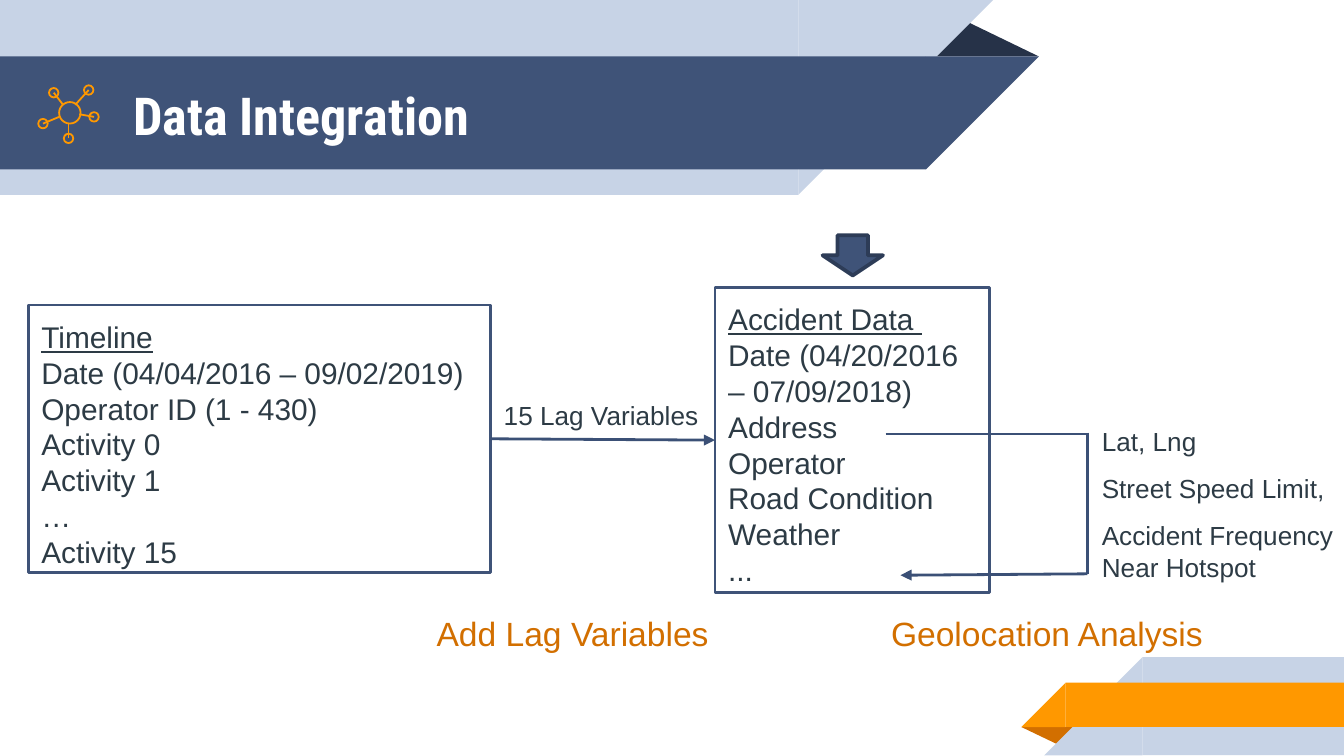
from lxml.etree import SubElement
from pptx import Presentation
from pptx.dml.color import RGBColor
from pptx.enum.shapes import MSO_CONNECTOR as Connector, MSO_SHAPE as Shape
from pptx.enum.text import MSO_ANCHOR as Anchor, PP_ALIGN as Align
from pptx.oxml.ns import qn
from pptx.util import Inches, Pt

NAVY = RGBColor(0x3F, 0x53, 0x78)
DARK_NAVY = RGBColor(0x26, 0x32, 0x48)
OUTLINE_NAVY = RGBColor(0x2D, 0x3C, 0x57)
LINE_NAVY = RGBColor(0x3B, 0x50, 0x76)
PALE_BLUE = RGBColor(0xC7, 0xD3, 0xE6)
ORANGE = RGBColor(0xFF, 0x98, 0x00)
DARK_ORANGE = RGBColor(0xD2, 0x6F, 0x00)
INK = RGBColor(0x2D, 0x3B, 0x45)
WHITE = RGBColor(0xFF, 0xFF, 0xFF)

TIMELINE = ["Timeline", "Date (04/04/2016 – 09/02/2019)", "Operator ID (1 - 430)",
            "Activity 0", "Activity 1", "…", "Activity 15"]
ACCIDENTS = ["Accident Data ", "Date (04/20/2016 – 07/09/2018)", "Address",
             "Operator", "Road Condition", "Weather", "..."]
LOCATION = ["Lat, Lng", "Street Speed Limit,", "Accident Frequency", "Near Hotspot"]

SPOKES = [((0.66, 0.67), (0.56, 0.78)), ((0.4, 0.69), (0.47, 0.78)),
          ((0.32, 0.92), (0.44, 0.87)), ((0.51, 1.03), (0.51, 0.92)),
          ((0.7, 0.87), (0.59, 0.85))]


def add_figure(shapes, kind, bounds, fill=None, line=None, width=1.5, rotation=0):
    figure = shapes.add_shape(kind, *map(Inches, bounds))
    figure.shadow.inherit = False
    figure.rotation = rotation
    if fill is None:
        figure.fill.background()
    else:
        figure.fill.solid()
        figure.fill.fore_color.rgb = fill
    if line is None:
        figure.line.fill.background()
    else:
        figure.line.color.rgb = line
        figure.line.width = Pt(width)
    return figure


def add_line(shapes, start, end, color=LINE_NAVY, width=1.5, arrow=False):
    line = shapes.add_connector(Connector.STRAIGHT, *map(Inches, start + end))
    line.line.color.rgb = color
    line.line.width = Pt(width)
    properties = line.element.spPr
    if arrow:
        SubElement(properties.get_or_add_ln(), qn("a:tailEnd"), type="triangle")
    SubElement(properties, qn("a:effectLst"))
    return line


def write(box, lines, size, color=INK, font="Arial", align=Align.LEFT, anchor=Anchor.TOP):
    frame = box.text_frame
    frame.text = "\n".join(lines)
    frame.word_wrap = True
    frame.vertical_anchor = anchor
    frame.margin_left = frame.margin_right = Inches(0.1)
    frame.margin_top = frame.margin_bottom = Inches(0.1)
    for para in frame.paragraphs:
        para.alignment = align
        for span in para.runs:
            span.font.size = Pt(size)
            span.font.name = font
            span.font.color.rgb = color
    return frame.paragraphs


def add_text(page, bounds, lines, size, color=INK, align=Align.LEFT):
    box = page.shapes.add_textbox(*map(Inches, bounds))
    return write(box, lines, size, color, align=align)


def add_data_box(page, bounds, lines):
    box = add_figure(page.shapes, Shape.RECTANGLE, bounds, line=NAVY)
    heading = write(box, lines, 16)[0]
    heading.runs[0].font.underline = True
    return box


def add_header_band(page, top, length, height, color):
    add_figure(page.shapes, Shape.RECTANGLE, (0, top, length, height), color)
    add_figure(page.shapes, Shape.RIGHT_TRIANGLE, (length, top, height, height), color,
               rotation=90)


def add_footer_band(page, left, top, height, color):
    body = left + height
    add_figure(page.shapes, Shape.RECTANGLE, (body, top, 10 - body, height), color)
    add_figure(page.shapes, Shape.RIGHT_TRIANGLE, (left, top, height, height), color,
               rotation=270)


def add_fold(page, bounds, color, rotation=0):
    fold = add_figure(page.shapes, Shape.ISOSCELES_TRIANGLE, bounds, color, rotation=rotation)
    fold.adjustments[0] = 0.32


def add_ribbons(page):
    add_fold(page, (6.88, 0.14, 0.85, 0.28), DARK_NAVY)
    add_header_band(page, 0, 5.94, 1.45, PALE_BLUE)
    add_header_band(page, 0.42, 6.89, 0.84, NAVY)
    add_fold(page, (7.6, 5.41, 0.43, 0.14), DARK_ORANGE, rotation=180)
    add_footer_band(page, 7.77, 4.89, 0.73, PALE_BLUE)
    add_footer_band(page, 7.6, 5.08, 0.33, ORANGE)


def add_title(page, text):
    title = page.shapes.title
    title.element.getparent().append(title.element)
    title.left, title.top, title.width, title.height = map(Inches, (0.89, 0.43, 5.75, 0.84))
    para = write(title, [text], 28, WHITE, "Roboto Condensed", anchor=Anchor.MIDDLE)[0]
    para.runs[0].font.bold = True


def add_ring(shapes, center, size):
    x, y = center
    add_figure(shapes, Shape.OVAL, (x - size / 2, y - size / 2, size, size),
               line=ORANGE, width=0.96)


def add_network_icon(page):
    icon = page.shapes.add_group_shape().shapes
    add_ring(icon, (0.52, 0.84), 0.16)
    for node, hub_edge in SPOKES:
        add_ring(icon, node, 0.07)
        add_line(icon, node, hub_edge, ORANGE, 0.96)


def add_location_loop(page):
    right = 8.09
    add_line(page.shapes, (6.59, 3.23), (right, 3.23))
    add_line(page.shapes, (right, 3.22), (right, 4.27))
    add_line(page.shapes, (right, 4.27), (6.7, 4.28), arrow=True)
    paras = add_text(page, (8.1, 2.95, 3.36, 0.93), LOCATION, 14)
    for para in paras[:-1]:
        para.line_spacing = 1.5


def main():
    deck = Presentation()
    deck.slide_width = Inches(10)
    deck.slide_height = deck.slide_width * 9 // 16
    page = deck.slides.add_slide(deck.slide_layouts[5])
    add_ribbons(page)
    add_title(page, "Data Integration")
    add_network_icon(page)

    accidents = add_data_box(page, (5.32, 2.14, 2.04, 2.27), ACCIDENTS)
    timeline = add_data_box(page, (0.21, 2.27, 3.44, 1.99), TIMELINE)
    lag_arrow = add_line(page.shapes, (3.65, 3.27), (5.32, 3.28), arrow=True)
    lag_arrow.begin_connect(timeline, 3)
    lag_arrow.end_connect(accidents, 1)
    add_text(page, (3.65, 2.87, 2.04, 0.48), ["15 Lag Variables"], 14)
    add_location_loop(page)
    add_figure(page.shapes, Shape.DOWN_ARROW, (6.12, 1.75, 0.45, 0.3), NAVY, OUTLINE_NAVY, 2)

    for left, caption in ((2.62, "Add Lag Variables"), (6.15, "Geolocation Analysis")):
        add_text(page, (left, 4.46, 3.28, 0.44), [caption], 18, DARK_ORANGE, Align.CENTER)
    deck.save("out.pptx")


if __name__ == "__main__":
    main()
